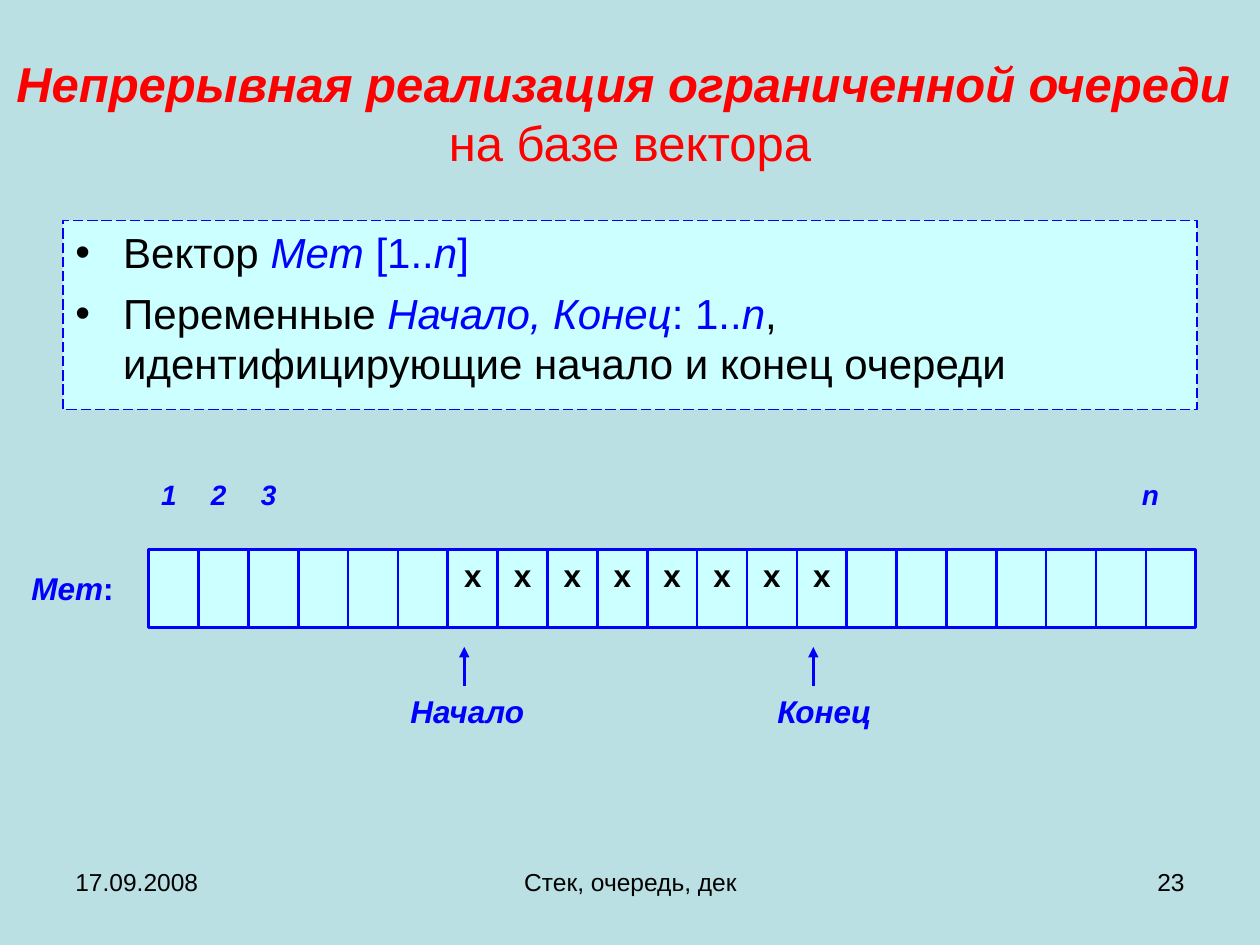
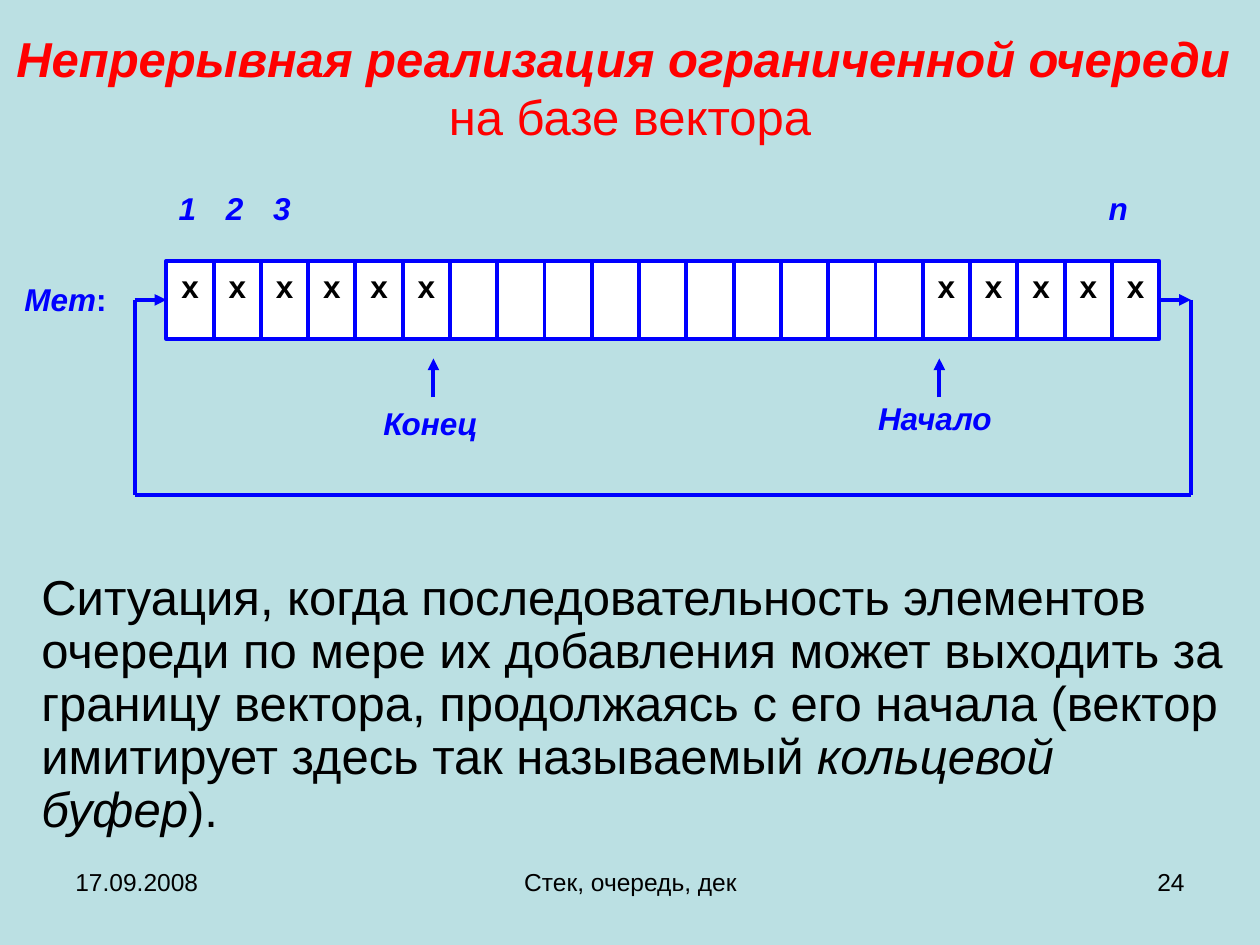
from dataclasses import dataclass

from lxml import etree
from pptx import Presentation
from pptx.dml.color import RGBColor
from pptx.enum.dml import MSO_LINE
from pptx.enum.shapes import MSO_CONNECTOR, MSO_SHAPE
from pptx.enum.text import MSO_ANCHOR, PP_ALIGN
from pptx.oxml.ns import qn
from pptx.util import Inches, Pt

LEFT, CENTER, RIGHT = PP_ALIGN.LEFT, PP_ALIGN.CENTER, PP_ALIGN.RIGHT
TOP, MIDDLE = MSO_ANCHOR.TOP, MSO_ANCHOR.MIDDLE
RECTANGLE, STRAIGHT = MSO_SHAPE.RECTANGLE, MSO_CONNECTOR.STRAIGHT
LONG_DASH = MSO_LINE.LONG_DASH

FONT = "Arial"
BACKGROUND, PANEL, WHITE = "BBE0E3", "CCFFFF", "FFFFFF"
RED, BLUE, BLACK = "FF0000", "0000FF", "000000"
CELL_COUNT = 21


@dataclass
class Grid:
    """A box in inches, divided into equal columns and rows."""
    left: float
    top: float
    width: float
    height: float
    columns: int
    rows: int

    def x(self, column):
        return Inches(self.left + column * self.width / self.columns)

    def y(self, row):
        return Inches(self.top + row * self.height / self.rows)

    def place(self, column, row, columns, rows):
        """Left, top, width and height of an area of the grid."""
        left, top = self.x(column), self.y(row)
        return left, top, self.x(column + columns) - left, self.y(row + rows) - top

    def strip(self, column, row, columns, rows, cell_count):
        """An area of the grid as a one-row grid of its own."""
        area = self.place(column, row, columns, rows)
        return Grid(*(length / Inches(1) for length in area), cell_count, 1)


PAGE = Grid(0, 0, 10, 7.5, 20, 15)


@dataclass
class Pointer:
    """A named arrow under the vector, measured in its columns."""
    name: str
    arrow_column: float
    label_column: float
    label_columns: float
    inset: float = 0.1


def color(hex_string):
    return RGBColor.from_string(hex_string)


# Text
def add_run(paragraph, text, size, hex_string=BLACK, bold=False, italic=False):
    run = paragraph.add_run()
    run.text = text
    font = run.font
    font.name, font.size, font.bold, font.italic = FONT, Pt(size), bold, italic
    font.color.rgb = color(hex_string)


def set_frame(shape, inset=0.1, anchor=TOP, align=LEFT):
    """Prepare the text frame and return its first paragraph."""
    frame = shape.text_frame
    frame.word_wrap = True
    frame.vertical_anchor = anchor
    frame.margin_left = frame.margin_right = Inches(inset)
    frame.margin_top = frame.margin_bottom = Inches(inset / 2)
    paragraph = frame.paragraphs[0]
    paragraph.alignment = align
    return paragraph


def add_text(slide, area, inset=0.1, anchor=TOP, align=LEFT):
    return set_frame(slide.shapes.add_textbox(*area), inset, anchor, align)


def add_label(slide, area, text, size=18, inset=0.1):
    add_run(add_text(slide, area, inset), text, size, BLUE, True, True)


def add_bullet(paragraph, indent):
    properties = paragraph._p.get_or_add_pPr()
    properties.set("marL", str(Inches(indent)))
    properties.set("indent", str(-Inches(indent)))
    bullet_color = etree.SubElement(properties, qn("a:buClr"))
    etree.SubElement(bullet_color, qn("a:srgbClr"), val=BLACK)
    etree.SubElement(properties, qn("a:buFont"), typeface=FONT)
    etree.SubElement(properties, qn("a:buChar"), char="•")


def add_center_tabs(paragraph, positions):
    tabs = etree.SubElement(paragraph._p.get_or_add_pPr(), qn("a:tabLst"))
    for position in positions:
        etree.SubElement(tabs, qn("a:tab"), pos=str(position), algn="ctr")


# Shapes and lines
def add_rectangle(slide, area, fill, line_width):
    shape = slide.shapes.add_shape(RECTANGLE, *area)
    shape.shadow.inherit = False
    shape.fill.solid()
    shape.fill.fore_color.rgb = color(fill)
    shape.line.color.rgb = color(BLUE)
    shape.line.width = Pt(line_width)
    return shape


def add_line(slide, grid, start, end, width, arrow=False):
    """Join two (column, row) points of the grid."""
    connector = slide.shapes.add_connector(
        STRAIGHT, grid.x(start[0]), grid.y(start[1]), grid.x(end[0]), grid.y(end[1]))
    connector.line.color.rgb = color(BLUE)
    connector.line.width = Pt(width)
    if arrow:
        etree.SubElement(connector.line._get_or_add_ln(), qn("a:tailEnd"), type="triangle")
    etree.SubElement(connector._element.spPr, qn("a:effectLst"))


# Regions
def add_title(slide, area):
    paragraph = add_text(slide, area, anchor=MIDDLE, align=CENTER)
    add_run(paragraph, "Непрерывная реализация ограниченной очереди ", 28, RED, True, True)
    paragraph.add_line_break()
    add_run(paragraph, "на базе вектора", 28, RED)


def add_footer(slide, number):
    footer_texts = [
        (1, 4.66, "17.09.2008", LEFT),
        (6.84, 6.34, "Стек, очередь, дек", CENTER),
        (14.34, 4.66, str(number), RIGHT),
    ]
    for column, columns, text, align in footer_texts:
        paragraph = add_text(slide, PAGE.place(column, 13.66, columns, 1.04), align=align)
        add_run(paragraph, text, 14)


def add_definitions(slide, area):
    panel = add_rectangle(slide, area, PANEL, 0.75)
    panel.line.dash_style = LONG_DASH
    vector = set_frame(panel)
    variables = panel.text_frame.add_paragraph()
    variables.alignment = LEFT
    variables.space_before = Pt(6)
    definitions = [
        (vector, [("Вектор ", BLACK, False), ("Mem", BLUE, True),
                  (" [1..", BLUE, False), ("n", BLUE, True), ("]", BLUE, False)]),
        (variables, [("Переменные ", BLACK, False), ("Начало, Конец", BLUE, True),
                     (": 1..", BLUE, False), ("n", BLUE, True),
                     (", идентифицирующие начало и конец очереди", BLACK, False)]),
    ]
    for paragraph, runs in definitions:
        add_bullet(paragraph, 0.38)
        for text, hex_string, italic in runs:
            add_run(paragraph, text, 24, hex_string, italic=italic)


def add_vector(slide, grid, fill, line_width, index_size, name_column, occupied, pointers):
    """Draw the cells, their indices, the vector's name and the pointers."""
    # Cells, each occupied one marked at its centre
    cells = add_rectangle(slide, grid.place(0, 0, CELL_COUNT, 1), fill, line_width)
    marks = set_frame(cells)
    cells.text_frame.margin_left = 0
    add_center_tabs(marks, [grid.x(cell + 0.5) - grid.x(0) for cell in occupied])
    add_run(marks, "\tx" * len(occupied), 18, bold=True)
    for column in range(1, CELL_COUNT):
        add_line(slide, grid, (column, 0), (column, 1), line_width)

    # Indices above and name on the left
    for column, index in [(0, "1"), (1, "2"), (2, "3"), (19.67, "n")]:
        add_label(slide, grid.place(column, -1, 1.33, 1), index, index_size)
    name = add_text(slide, grid.place(name_column, 0.25, 2.67, 0.75), inset=0)
    add_run(name, "Mem", 18, BLUE, True, True)
    add_run(name, ":", 18, BLUE, True)

    # Pointers below
    for pointer in pointers:
        column = pointer.arrow_column
        add_line(slide, grid, (column, 1.75), (column, 1.25), line_width, arrow=True)
        area = grid.place(pointer.label_column, 1.75, pointer.label_columns, 0.65)
        add_label(slide, area, pointer.name, inset=pointer.inset)


def add_ring(slide, grid, line_width):
    """Lead from the last cell round below the vector to the first one."""
    reach = 0.67
    right = CELL_COUNT + reach
    corners = [(CELL_COUNT, 0.5), (right, 0.5), (right, 3),
               (-reach, 3), (-reach, 0.5), (0, 0.5)]
    last = len(corners) - 2
    for position, (start, end) in enumerate(zip(corners, corners[1:])):
        add_line(slide, grid, start, end, line_width, arrow=position in (0, last))


def add_explanation(slide, area):
    paragraph = add_text(slide, area)
    paragraph.line_spacing = 0.9
    add_run(paragraph, "Ситуация, когда последовательность элементов очереди по мере их "
            "добавления может выходить за границу вектора, продолжаясь с его начала "
            "(вектор имитирует здесь так называемый ", 28)
    add_run(paragraph, "кольцевой буфер", 28, italic=True)
    add_run(paragraph, ").", 28)


# Slides
def build_queue_slide(slide):
    add_title(slide, PAGE.place(0, 0.62, 20, 2.34))
    add_definitions(slide, PAGE.place(1, 3.5, 18, 3))
    vector = PAGE.strip(2.36, 8.72, 16.62, 1.24, CELL_COUNT)
    pointers = [Pointer("Начало", 6.33, 5, 3), Pointer("Конец", 13.33, 12.36, 2.67)]
    add_vector(slide, vector, PANEL, 1.5, 16, -2.35, range(6, 14), pointers)
    add_footer(slide, 23)


def build_ring_slide(slide):
    add_explanation(slide, PAGE.place(0.46, 9, 19.18, 4.4))
    add_title(slide, PAGE.place(0, 0.34, 20, 2.08))
    vector = PAGE.strip(2.64, 4.14, 15.76, 1.24, CELL_COUNT)
    add_ring(slide, vector, 2.25)
    pointers = [Pointer("Конец", 5.65, 4.33, 3), Pointer("Начало", 16.35, 15, 2.67, 0.02)]
    occupied = [*range(6), *range(16, CELL_COUNT)]
    add_vector(slide, vector, WHITE, 2.25, 18, -3, occupied, pointers)
    add_footer(slide, 24)


def main():
    presentation = Presentation()
    presentation.slide_width = Inches(PAGE.width)
    presentation.slide_height = Inches(PAGE.height)
    background = presentation.slide_master.background.fill
    background.solid()
    background.fore_color.rgb = color(BACKGROUND)
    blank_layout = presentation.slide_layouts[6]
    for build in (build_queue_slide, build_ring_slide):
        build(presentation.slides.add_slide(blank_layout))
    presentation.save("out.pptx")


if __name__ == "__main__":
    main()
